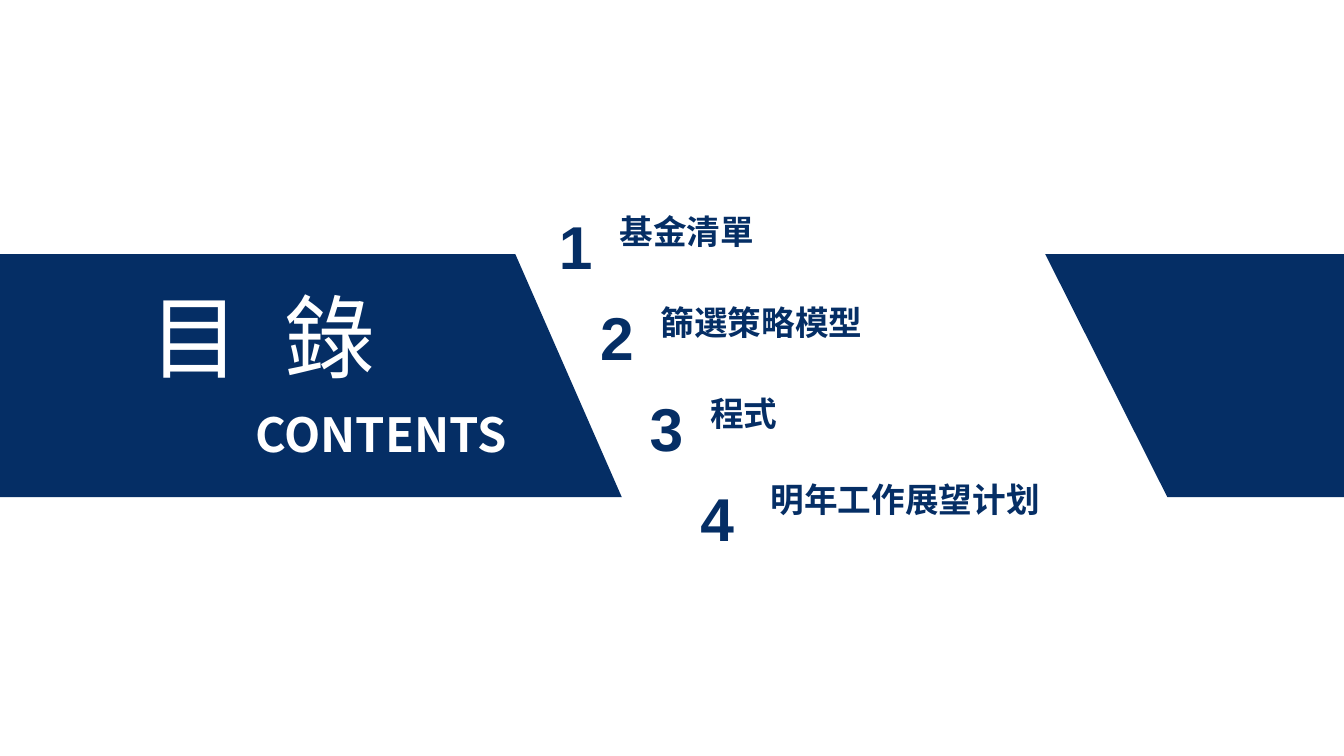
from lxml import etree
from pptx import Presentation
from pptx.dml.color import RGBColor
from pptx.enum import text as txt
from pptx.oxml.ns import qn
from pptx.util import Inches, Pt

NAVY, WHITE = "052E65", "FFFFFF"
CJK, LATIN = "Noto Sans CJK SC", "Arial"
BAND_TOP, BAND_HEIGHT = 2.1, 2.01
ROW_PITCH = 0.75


def colour(value):
    return RGBColor.from_string(value)


def add_text(slide, box, words, size, font=CJK, fill=NAVY, bold=True, wrap=False,
             align=txt.PP_ALIGN.LEFT, anchor=txt.MSO_ANCHOR.TOP,
             line_spacing=None, tracking=None, inset_top=0.05):
    frame = slide.shapes.add_textbox(*map(Inches, box)).text_frame
    frame.word_wrap = wrap
    frame.vertical_anchor = anchor
    frame.margin_left = frame.margin_right = Inches(0.09)
    frame.margin_top = Inches(inset_top)
    line = frame.paragraphs[0]
    line.alignment = align
    if line_spacing:
        line.line_spacing = line_spacing
    run = line.add_run()
    run.text = words
    run.font.size, run.font.bold, run.font.name = Pt(size), bold, font
    run.font.color.rgb = colour(fill)
    # East Asian typeface and letter spacing
    properties = run.font._element
    etree.SubElement(properties, qn("a:ea")).set("typeface", font)
    if tracking:
        properties.set("spc", str(tracking * 100))


def add_band(slide, corners):
    points = [(Inches(x), Inches(y)) for x, y in corners]
    builder = slide.shapes.build_freeform(*points[0], scale=1.0)
    builder.add_line_segments(points[1:], close=True)
    band = builder.convert_to_shape()
    band.shadow.inherit = False
    band.fill.solid()
    band.fill.fore_color.rgb = colour(NAVY)
    band.line.fill.background()


def add_title_band(slide, left, top, width, height):
    bottom = top + height
    add_band(slide, [(left, top), (left + width - 0.88, top),
                     (left + width, bottom), (left, bottom)])
    centred = dict(fill=WHITE, align=txt.PP_ALIGN.CENTER, anchor=txt.MSO_ANCHOR.MIDDLE)
    add_text(slide, (left + 1.07, top + 0.24, 2.2, 0.87), "目 錄", 54,
             bold=False, tracking=7, **centred)
    add_text(slide, (left + 1.93, top + 1.26, 2.44, 0.45), "CONTENTS", 28, **centred)


def add_end_band(slide, left, top, width, height):
    right, bottom = left + width, top + height
    add_band(slide, [(left, top), (right, top), (right, bottom), (left + 1.01, bottom)])


def add_contents(slide, left, top):
    # Each entry: indent along the slanted edge, gap to the heading, heading lift, heading
    entries = [(0, 0.5, 0, "基金清單"),
               (0.34, 0.5, 0, "篩選策略模型"),
               (0.75, 0.5, 0, "程式"),
               (1.17, 0.58, 0.04, "明年工作展望计划")]
    for row, (indent, gap, lift, heading) in enumerate(entries):
        x, y = left + indent, top + row * ROW_PITCH
        add_text(slide, (x, y, 0.33, 0.5), str(row + 1), 36, font=LATIN, inset_top=0.1)
        add_text(slide, (x + gap, y - lift, 3.25, 0.47), heading, 20,
                 wrap=True, line_spacing=1.2)


def main():
    deck = Presentation()
    deck.slide_width, deck.slide_height = Inches(11.11), Inches(6.25)
    slide = deck.slides.add_slide(deck.slide_layouts[6])

    # Slanted bands at both sides
    add_end_band(slide, 8.64, BAND_TOP, 2.47, BAND_HEIGHT)
    add_title_band(slide, 0, BAND_TOP, 5.14, BAND_HEIGHT)

    # Numbered headings between the bands
    add_contents(slide, 4.53, 1.63)

    deck.save("out.pptx")


if __name__ == "__main__":
    main()
